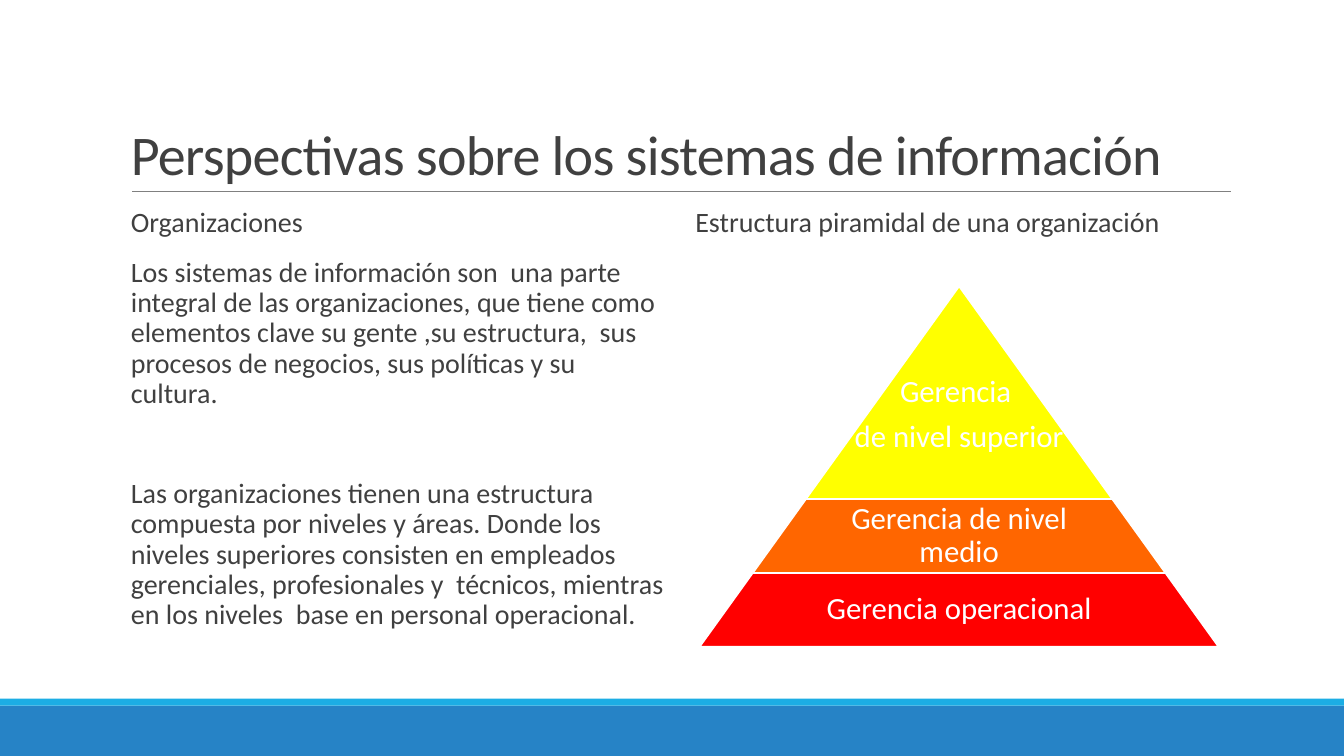
"""Build the slide on organizations and their pyramidal structure."""
import pptx
import pptx.dml.color
import pptx.enum.shapes
import pptx.enum.text
import pptx.util

Pt = pptx.util.Pt
ANCHOR = pptx.enum.text.MSO_ANCHOR
ALIGN = pptx.enum.text.PP_ALIGN
SHAPE = pptx.enum.shapes.MSO_SHAPE
FONT = "Calibri"
COLORS = {
    "text": "404040",
    "rule": "808080",
    "band": "2683C6",
    "stripe": "1CADE4",
    "white": "FFFFFF",
    "top": "FFFF00",
    "middle": "FF6600",
    "base": "FF0000",
}
ORGANIZATION_TEXT = [
    ("Organizaciones", 12),
    ("Los sistemas de información son  una parte integral de las organizaciones, "
     "que tiene como elementos clave su gente ,su estructura,  sus procesos de "
     "negocios, sus políticas y su cultura.", 12),
    ("Las organizaciones tienen una estructura compuesta por niveles y áreas. "
     "Donde los niveles superiores consisten en empleados gerenciales, "
     "profesionales y  técnicos, mientras en los niveles  base en personal "
     "operacional.", 48),
]
PYRAMID_TEXT = [("Estructura piramidal de una organización", 12)]
TIERS = [
    (["Gerencia ", "de nivel superior"], 152, "top", 1, 34),
    (["Gerencia de nivel medio"], 52.7, "middle", 0.65, 2),
    (["Gerencia operacional"], 52.7, "base", 0.65, 2),
]
SLOPE = 0.72


def color(name):
    """Return the named color as an RGB value."""
    return pptx.dml.color.RGBColor.from_string(COLORS[name])


def add_filled(slide, kind, box, fill):
    """Add a preset shape with a plain fill and no outline."""
    shape = slide.shapes.add_shape(kind, *map(Pt, box))
    shape.shadow.inherit = False
    shape.fill.solid()
    shape.fill.fore_color.rgb = color(fill)
    shape.line.fill.background()
    return shape


def add_text(slide, box, paragraphs, size, ink, insets, anchor=ANCHOR.TOP,
             align=ALIGN.LEFT, spacing=0.9, after=2):
    """Add a text box from (text, space before) pairs and return its frame."""
    frame = slide.shapes.add_textbox(*map(Pt, box)).text_frame
    frame.word_wrap = True
    frame.vertical_anchor = anchor
    (frame.margin_left, frame.margin_top,
     frame.margin_right, frame.margin_bottom) = map(Pt, insets)
    frame.text = "\n".join(text for text, before in paragraphs)
    for paragraph, (text, before) in zip(frame.paragraphs, paragraphs):
        paragraph.alignment = align
        paragraph.line_spacing = spacing
        paragraph.space_before = Pt(before)
        paragraph.space_after = Pt(after)
        for run in paragraph.runs:
            run.font.name = FONT
            run.font.size = Pt(size)
            run.font.color.rgb = color(ink)
    return frame


def add_footer(slide, left, top, width, height):
    """Draw the bottom band with its thin stripe on top."""
    stripe = 5
    add_filled(slide, SHAPE.RECTANGLE,
               (left, top + stripe, width, height - stripe), "band")
    add_filled(slide, SHAPE.RECTANGLE, (left, top, width, stripe), "stripe")


def add_title(slide, left, top, width, height):
    """Draw the title and the rule beneath it."""
    bottom = top + height
    rule = slide.shapes.add_connector(
        pptx.enum.shapes.MSO_CONNECTOR.STRAIGHT,
        Pt(left + 8), Pt(bottom), Pt(left + width + 1), Pt(bottom))
    rule.line.color.rgb = color("rule")
    rule.line.width = Pt(0.5)
    properties = rule._element.spPr
    properties.append(pptx.oxml.parse_xml(
        '<a:effectLst xmlns:a='
        '"http://schemas.openxmlformats.org/drawingml/2006/main"/>'))
    frame = add_text(slide, (left, top, width, height),
                     [("Perspectivas sobre los sistemas de información", 0)],
                     40, "text", (7.2, 3.6, 7.2, 3.6), ANCHOR.BOTTOM,
                     spacing=0.85, after=0)
    frame.paragraphs[0].runs[0].font._element.set("spc", "-50")


def add_column(slide, left, top, width, height, paragraphs):
    """Draw one column of body text."""
    add_text(slide, (left, top, width, height), paragraphs, 20, "text",
             (7.2, 3.6, 0, 3.6))


def add_pyramid(slide, left, top, width):
    """Draw the stacked tiers, each as wide as its depth requires."""
    center = left + width / 2
    depth = 0
    for lines, height, fill, text_share, inset_top in TIERS:
        tier_top = top + depth
        depth += height
        tier_width = 2 * SLOPE * depth
        tier = add_filled(slide, SHAPE.TRAPEZOID,
                          (center - tier_width / 2, tier_top, tier_width, height),
                          fill)
        tier.adjustments[0] = SLOPE
        tier.line.color.rgb = color("white")
        tier.line.width = Pt(1.25)
        text_width = tier_width * text_share
        add_text(slide, (center - text_width / 2, tier_top, text_width, height),
                 [(line, 0) for line in lines], 22, "white",
                 (2, inset_top, 2, 2), ANCHOR.MIDDLE, ALIGN.CENTER, after=7.7)


def main():
    """Assemble the slide and save it."""
    presentation = pptx.Presentation()
    presentation.slide_width = Pt(960)
    presentation.slide_height = Pt(540)
    slide = presentation.slides.add_slide(presentation.slide_layouts[6])
    add_footer(slide, 0, 499, 960, 41)
    add_title(slide, 86.4, 22.6, 792, 114.2)
    add_column(slide, 86.4, 145.4, 388.8, 316.8, ORGANIZATION_TEXT)
    add_column(slide, 489.6, 145.4, 388.8, 316.8, PYRAMID_TEXT)
    add_pyramid(slide, 499.7, 204.5, 370.8)
    presentation.save("out.pptx")


if __name__ == "__main__":
    main()
